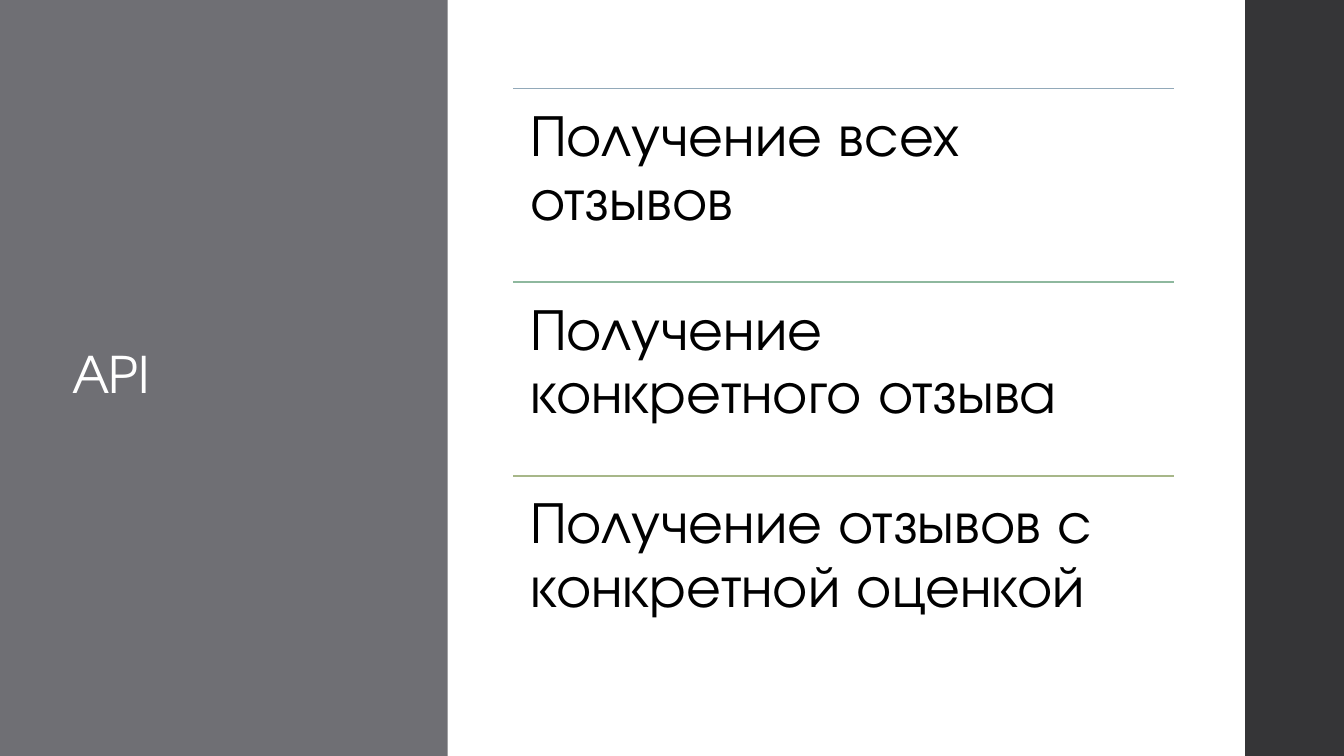
from dataclasses import dataclass

from pptx import Presentation
from pptx.dml.color import RGBColor
from pptx.enum.shapes import MSO_CONNECTOR, MSO_SHAPE
from pptx.enum.text import MSO_ANCHOR, PP_ALIGN
from pptx.oxml.ns import qn
from pptx.util import Inches, Pt
from lxml.etree import SubElement


@dataclass(frozen=True)
class Theme:
    font: str = "TeX Gyre Adventor"
    title_size: float = 36
    item_size: float = 42
    rule_width: float = 1.1
    line_spacing: float = 0.9
    title_panel: str = "6F6F74"
    edge_panel: str = "353537"
    title_text: str = "FFFFFF"
    item_text: str = "000000"
    rules: tuple = ("92A9B9", "8EB89E", "A7B789")


THEME = Theme()
SLIDE_WIDTH, SLIDE_HEIGHT = 13.33, 7.5
ENDPOINTS = (
    "Получение всех отзывов",
    "Получение конкретного отзыва",
    "Получение отзывов с конкретной оценкой",
)


def apply_format(target, values):
    for name, value in values.items():
        setattr(target, name, value)


def add_panel(slide, box, color):
    panel = slide.shapes.add_shape(MSO_SHAPE.RECTANGLE, *map(Inches, box))
    panel.shadow.inherit = False
    panel.fill.solid()
    panel.fill.fore_color.rgb = RGBColor.from_string(color)
    panel.line.fill.background()


def add_text(slide, box, text, size, color, frame_format):
    """Add a one-paragraph text box and return its run."""
    frame = slide.shapes.add_textbox(*map(Inches, box)).text_frame
    apply_format(frame, {"word_wrap": True, **frame_format})
    paragraph = frame.paragraphs[0]
    apply_format(paragraph, {"alignment": PP_ALIGN.LEFT, "line_spacing": THEME.line_spacing})
    run = paragraph.add_run()
    run.text = text
    apply_format(run.font, {"name": THEME.font, "size": Pt(size)})
    run.font.color.rgb = RGBColor.from_string(color)
    return run


def add_rule(slide, left, top, width, color):
    rule = slide.shapes.add_connector(
        MSO_CONNECTOR.STRAIGHT, Inches(left), Inches(top), Inches(left + width), Inches(top)
    )
    rule.line.width = Pt(THEME.rule_width)
    rule.line.color.rgb = RGBColor.from_string(color)
    SubElement(rule._element.spPr, qn("a:effectLst"))


def add_title_panel(slide, box, title):
    left, top, width, height = box
    add_panel(slide, box, THEME.title_panel)
    title_box = (left + 0.62, top + 0.91, width - 1.47, height - 1.83)
    run = add_text(slide, title_box, title, THEME.title_size, THEME.title_text,
                   {"vertical_anchor": MSO_ANCHOR.MIDDLE})
    run.font._element.set("spc", "-50")


def add_ruled_list(slide, box, items):
    """Stack the items in equal rows, each under its own coloured rule."""
    left, top, width, height = box
    row_height = height / len(items)
    margins = {f"margin_{side}": Inches(0.17) for side in ("left", "top", "right", "bottom")}
    for index, (item, color) in enumerate(zip(items, THEME.rules)):
        row_top = top + index * row_height
        add_rule(slide, left, row_top, width, color)
        add_text(slide, (left, row_top, width, row_height), item, THEME.item_size,
                 THEME.item_text, {"vertical_anchor": MSO_ANCHOR.TOP, **margins})


def main():
    presentation = Presentation()
    apply_format(presentation, {"slide_width": Inches(SLIDE_WIDTH),
                                "slide_height": Inches(SLIDE_HEIGHT)})
    slide = presentation.slides.add_slide(presentation.slide_layouts[6])
    add_title_panel(slide, (0, 0, 4.44, SLIDE_HEIGHT), "API")
    add_panel(slide, (12.35, 0, SLIDE_WIDTH - 12.35, SLIDE_HEIGHT), THEME.edge_panel)
    add_ruled_list(slide, (5.09, 0.88, 6.55, 5.76), ENDPOINTS)
    presentation.save("out.pptx")


if __name__ == "__main__":
    main()
